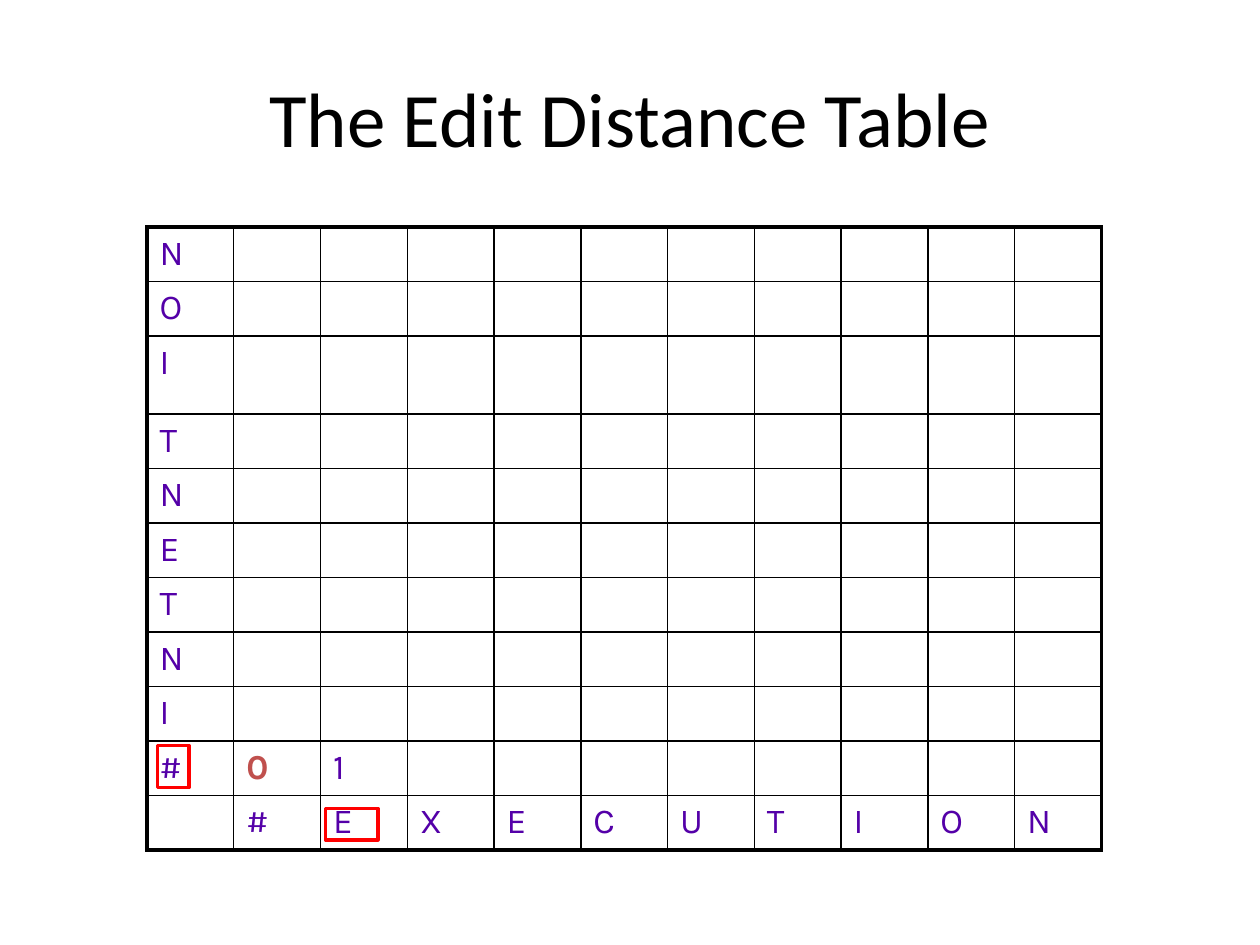
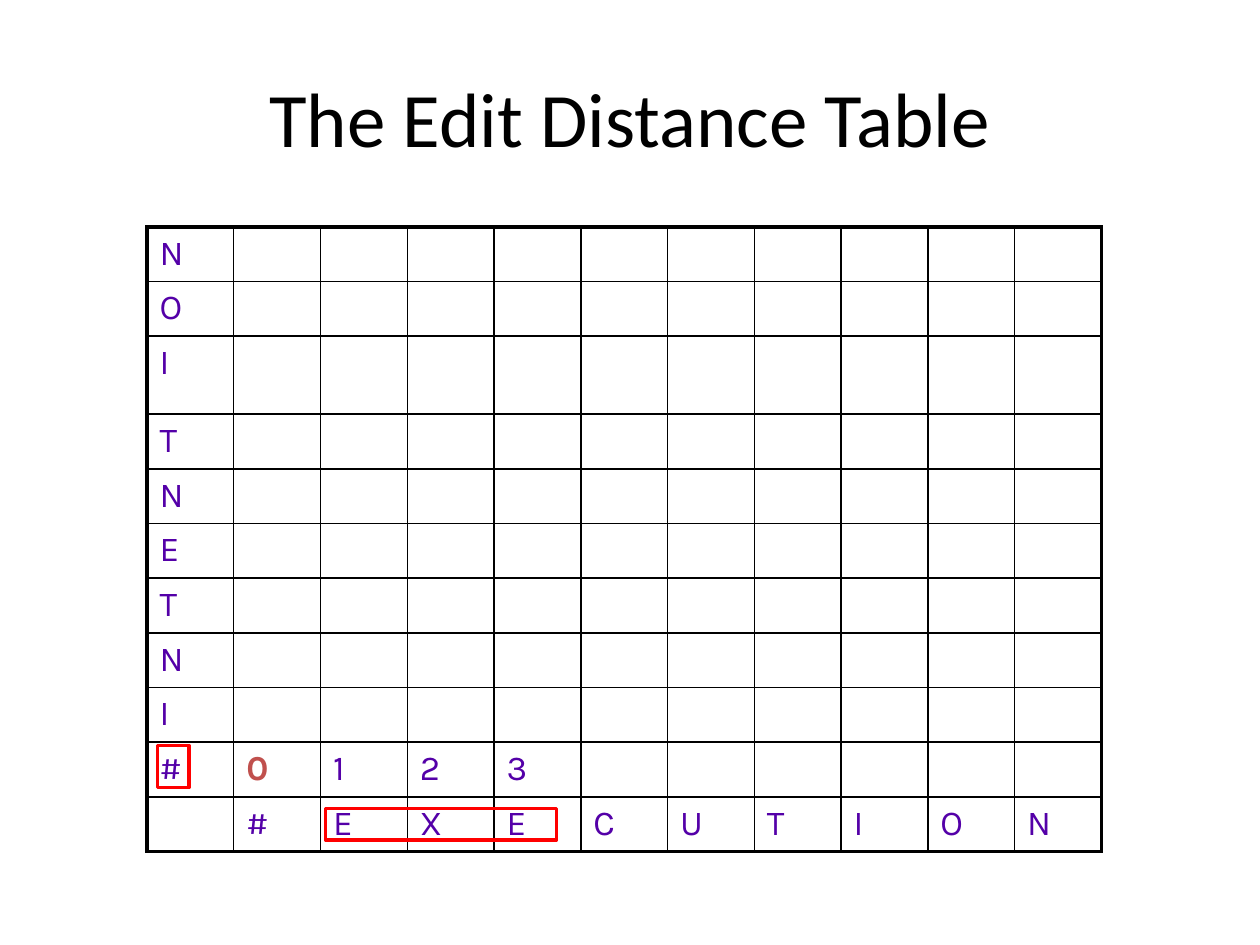
from dataclasses import dataclass

from lxml.etree import SubElement
from pptx import Presentation
from pptx.dml.color import RGBColor as Rgb
from pptx.enum.shapes import MSO_SHAPE as Shape
from pptx.enum.text import MSO_ANCHOR as Anchor, PP_ALIGN as Align
from pptx.oxml.ns import qn
from pptx.util import Pt

TITLE = "The Edit Distance Table"
SOURCE_WORD = "#INTENTION"
TARGET_WORD = "#EXECUTION"
COMPARED_PREFIXES = ["E", "EXE"]


@dataclass(frozen=True)
class Theme:
    title_font: str = "Calibri"
    title_size: float = 44
    title_color: str = "000000"
    cell_font: str = "Karla"
    cell_size: float = 20
    cell_color: str = "5400A8"
    origin_color: str = "C0504D"
    grid_color: str = "000000"
    inner_border: float = 1
    outer_border: float = 2.25
    mark_color: str = "FF0000"
    mark_border: float = 2


THEME = Theme()
SLIDE_SIZE = (720, 540)
TITLE_BOX = (36, 21.6, 648, 90)
GRID_LEFT, GRID_TOP = 84, 129.6
COLUMN_WIDTH, ROW_HEIGHT, TALL_ROW_HEIGHT = 49.6, 31.18, 44.6
TALL_ROW = 2
SOURCE_MARK = (90, 426, 18, 24)
TARGET_MARK_LEFT, TARGET_MARK_TOP, TARGET_MARK_HEIGHT = 186, 462, 18
FIRST_LETTER_WIDTH, NEXT_LETTER_WIDTH = 30, 51


def points(values):
    return [Pt(value) for value in values]


def add_run(paragraph, text, font, size, color, bold=False):
    run = paragraph.add_run()
    run.text = text
    run.font.name = font
    run.font.size = Pt(size)
    run.font.bold = bold
    run.font.color.rgb = Rgb.from_string(color)


def add_title(slide):
    frame = slide.shapes.add_textbox(*points(TITLE_BOX)).text_frame
    frame.word_wrap = True
    frame.vertical_anchor = Anchor.MIDDLE
    heading = frame.paragraphs[0]
    heading.alignment = Align.CENTER
    add_run(heading, TITLE, THEME.title_font, THEME.title_size, THEME.title_color)


def set_borders(cell, outer_edges):
    properties = cell._tc.get_or_add_tcPr()
    for edge in ("lnL", "lnR", "lnT", "lnB"):
        width = THEME.outer_border if edge in outer_edges else THEME.inner_border
        border = SubElement(properties, qn(f"a:{edge}"), w=str(Pt(width)))
        paint = SubElement(border, qn("a:solidFill"))
        SubElement(paint, qn("a:srgbClr"), val=THEME.grid_color)


def distance_rows(prefix):
    width = len(TARGET_WORD) + 1
    rows = [[letter] + [""] * (width - 1) for letter in reversed(SOURCE_WORD)]
    for distance in range(len(prefix) + 1):
        rows[-1][distance + 1] = str(distance)
    return rows + [["", *TARGET_WORD]]


def add_distance_table(slide, prefix):
    rows = distance_rows(prefix)
    last_row, last_column = len(rows) - 1, len(rows[0]) - 1
    heights = [TALL_ROW_HEIGHT if row == TALL_ROW else ROW_HEIGHT for row in range(len(rows))]
    area = (GRID_LEFT, GRID_TOP, COLUMN_WIDTH * len(rows[0]), sum(heights))
    grid = slide.shapes.add_table(len(rows), len(rows[0]), *points(area)).table
    grid.first_row = grid.horz_banding = False
    for column in grid.columns:
        column.width = Pt(COLUMN_WIDTH)
    for row, letters in enumerate(rows):
        grid.rows[row].height = Pt(heights[row])
        for column, letter in enumerate(letters):
            cell = grid.cell(row, column)
            at_edge = {"lnL": column == 0, "lnR": column == last_column,
                       "lnT": row == 0, "lnB": row == last_row}
            set_borders(cell, [edge for edge, outer in at_edge.items() if outer])
            cell.fill.background()
            if letter:
                origin = letter == "0"
                color = THEME.origin_color if origin else THEME.cell_color
                add_run(cell.text_frame.paragraphs[0], letter,
                        THEME.cell_font, THEME.cell_size, color, origin)


def add_mark(slide, area):
    mark = slide.shapes.add_shape(Shape.RECTANGLE, *points(area))
    mark.shadow.inherit = False
    mark.fill.background()
    mark.line.color.rgb = Rgb.from_string(THEME.mark_color)
    mark.line.width = Pt(THEME.mark_border)


def main():
    deck = Presentation()
    deck.slide_width, deck.slide_height = points(SLIDE_SIZE)
    for prefix in COMPARED_PREFIXES:
        slide = deck.slides.add_slide(deck.slide_layouts[6])
        add_distance_table(slide, prefix)
        add_title(slide)
        add_mark(slide, SOURCE_MARK)
        prefix_width = FIRST_LETTER_WIDTH + NEXT_LETTER_WIDTH * (len(prefix) - 1)
        add_mark(slide, (TARGET_MARK_LEFT, TARGET_MARK_TOP, prefix_width, TARGET_MARK_HEIGHT))
    deck.save("out.pptx")


if __name__ == "__main__":
    main()
